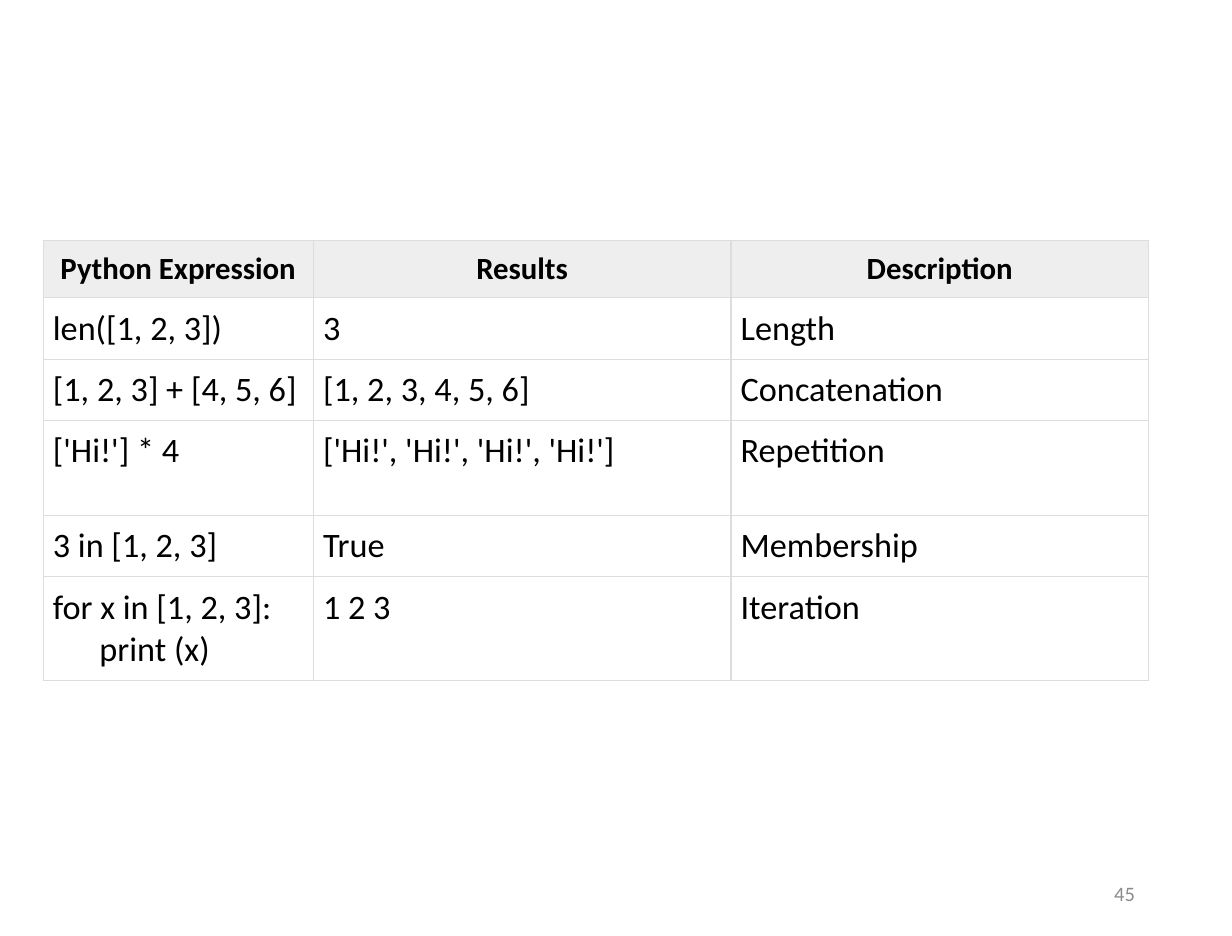
from lxml.etree import SubElement
from pptx import Presentation
from pptx.dml.color import RGBColor
from pptx.enum.text import MSO_ANCHOR as Anchor, PP_ALIGN as Align
from pptx.oxml.ns import qn
from pptx.util import Cm, Pt

BLACK = RGBColor(0x00, 0x00, 0x00)
GRAY = RGBColor(0x8C, 0x8C, 0x8C)
HEADER_FILL = RGBColor(0xEE, 0xEE, 0xEE)
BORDER = RGBColor(0xDD, 0xDD, 0xDD)

COLUMN_WIDTHS = [5.57, 8.61, 8.61]
ROW_HEIGHTS = [1.19, 1.19, 1.19, 1.96, 1.19, 1.96]
EXPRESSIONS = [
    ["Python Expression", "Results", "Description"],
    ["len([1, 2, 3])", "3", "Length"],
    ["[1, 2, 3] + [4, 5, 6]", "[1, 2, 3, 4, 5, 6]", "Concatenation"],
    ["['Hi!'] * 4", "['Hi!', 'Hi!', 'Hi!', 'Hi!']", "Repetition"],
    ["3 in [1, 2, 3]", "True", "Membership"],
    ["for x in [1, 2, 3]:\nprint (x)", "1 2 3", "Iteration"],
]


class SlideBuilder:
    font = "Calibri"
    padding = Cm(0.2)
    border_width = Pt(0.75)

    def __init__(self, page):
        self.page = page

    def set_text(self, frame, text, size, color, align=Align.LEFT, bold=False):
        frame.text = text
        for para in frame.paragraphs:
            para.alignment = align
            for span in para.runs:
                span.font.name = self.font
                span.font.size = Pt(size)
                span.font.bold = bold
                span.font.color.rgb = color

    def border(self, cell):
        properties = cell._tc.get_or_add_tcPr()
        for side in ("a:lnL", "a:lnR", "a:lnT", "a:lnB"):
            line = SubElement(properties, qn(side), w=str(self.border_width))
            fill = SubElement(line, qn("a:solidFill"))
            SubElement(fill, qn("a:srgbClr"), val=str(BORDER))

    def cell(self, cell, text, header):
        cell.margin_left = cell.margin_right = self.padding
        cell.margin_top = cell.margin_bottom = self.padding
        self.border(cell)
        if header:
            cell.fill.solid()
            cell.fill.fore_color.rgb = HEADER_FILL
            self.set_text(cell.text_frame, text, 18, BLACK, Align.CENTER, True)
        else:
            cell.fill.background()
            self.set_text(cell.text_frame, text, 20, BLACK)

    def table(self, left, top, widths, heights, rows):
        table = self.page.shapes.add_table(
            len(heights), len(widths), Cm(left), Cm(top),
            Cm(sum(widths)), Cm(sum(heights))).table
        for column, width in zip(table.columns, widths):
            column.width = Cm(width)
        for index, (row, height) in enumerate(zip(table.rows, heights)):
            row.height = Cm(height)
            for cell, text in zip(row.cells, rows[index]):
                self.cell(cell, text, header=index == 0)
        return table

    def indent(self, para, distance):
        para._p.get_or_add_pPr().set("marL", str(Cm(distance)))

    def page_number(self, left, top, width, height, text):
        box = self.page.shapes.add_textbox(
            Cm(left), Cm(top), Cm(width), Cm(height))
        box.text_frame.word_wrap = True
        box.text_frame.vertical_anchor = Anchor.MIDDLE
        self.set_text(box.text_frame, text, 12, GRAY, Align.RIGHT)


def main():
    deck = Presentation()
    deck.slide_width, deck.slide_height = Cm(25.4), Cm(19.3)
    builder = SlideBuilder(deck.slides.add_slide(deck.slide_layouts[6]))
    table = builder.table(0.89, 4.95, COLUMN_WIDTHS, ROW_HEIGHTS, EXPRESSIONS)
    loop_body = table.cell(5, 0).text_frame.paragraphs[1]
    builder.indent(loop_body, 0.96)
    builder.page_number(17.93, 17.91, 5.72, 1.02, "45")
    deck.save("out.pptx")


if __name__ == "__main__":
    main()
